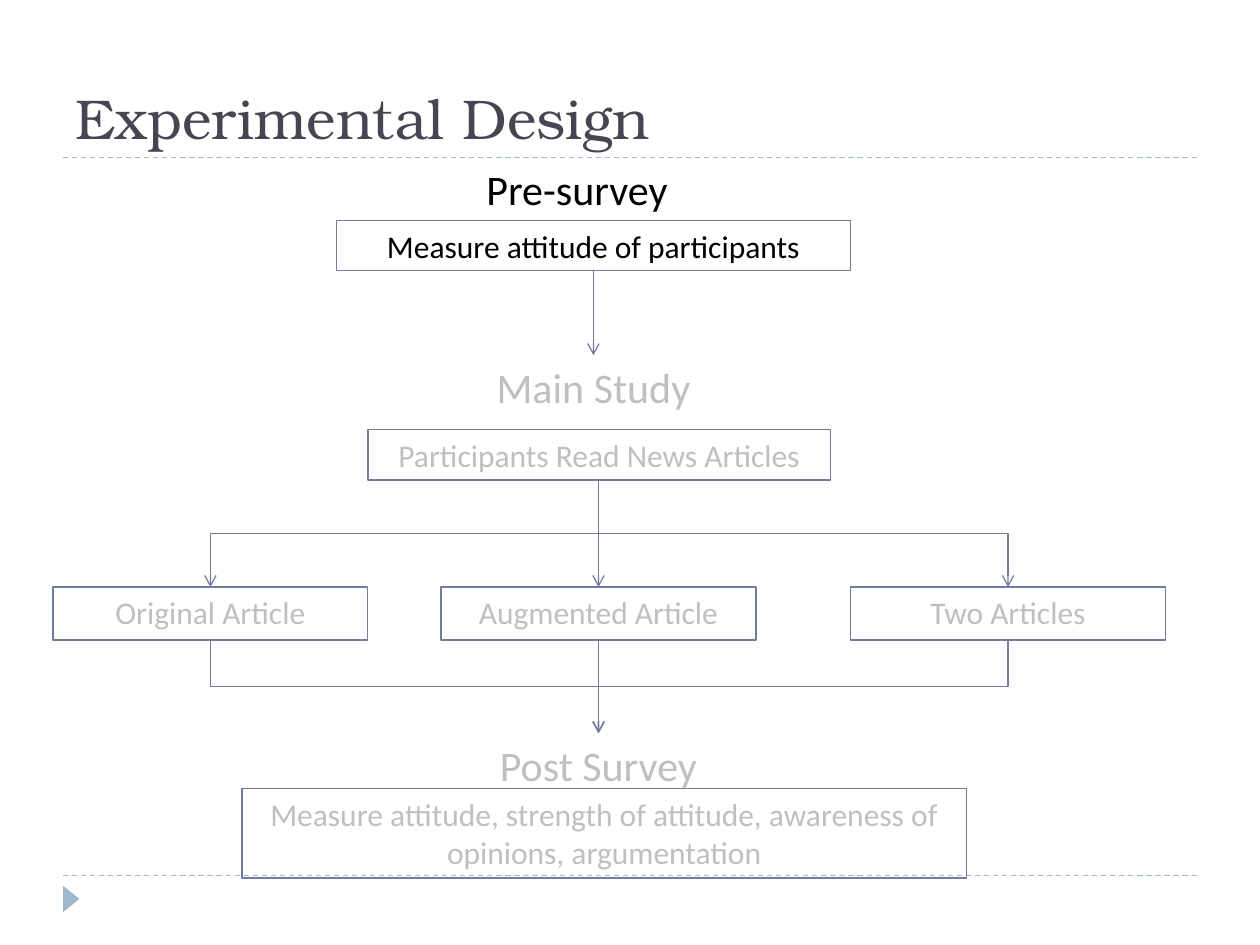
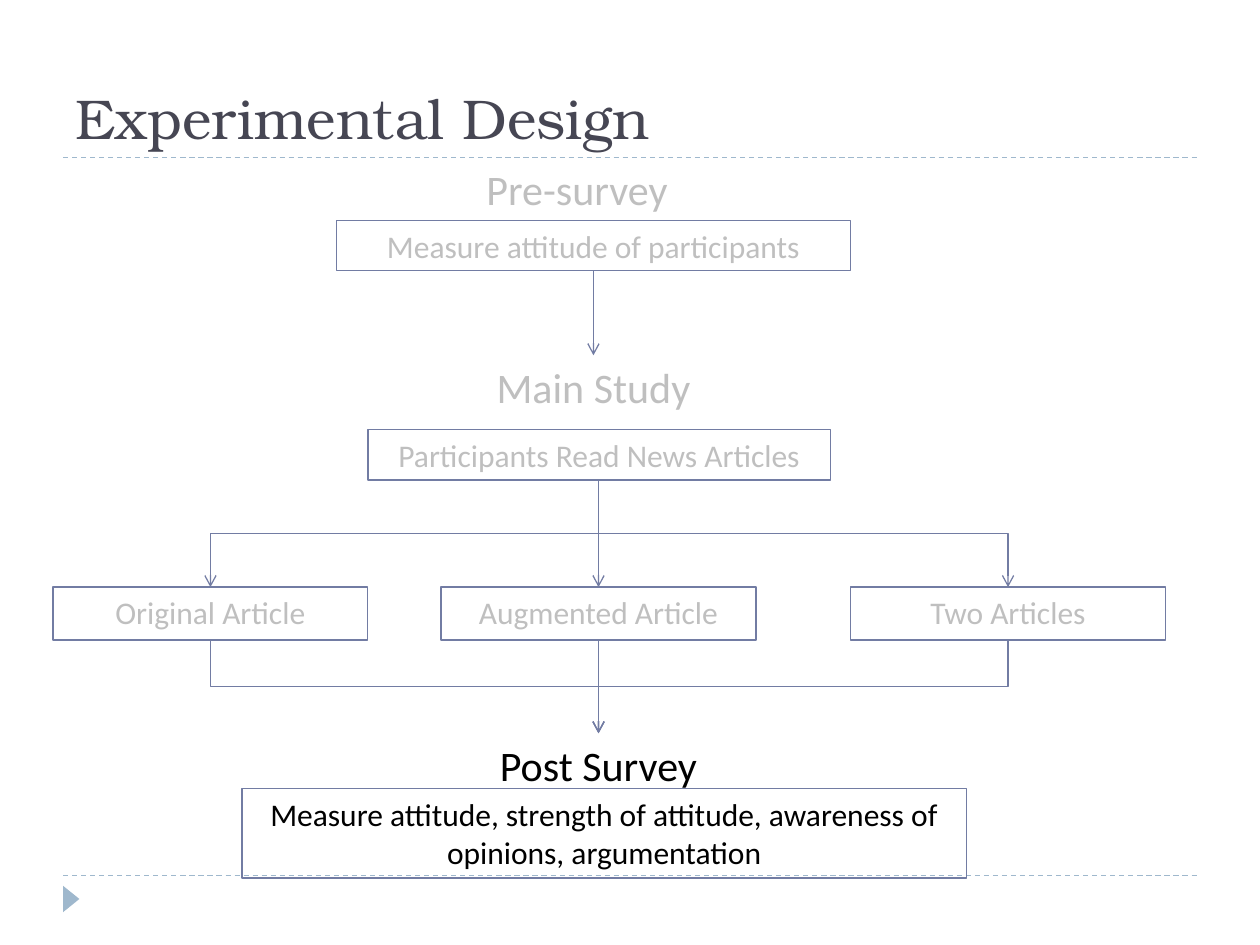
from lxml import etree
from pptx import Presentation
from pptx.dml.color import RGBColor
from pptx.enum import dml, shapes, text
from pptx.oxml.ns import qn
from pptx.util import Inches, Pt

TITLE = "Experimental Design"
COLOURS = {"title": "464653", "rule": "9FB8CD", "flow": "727CA3",
           "active": "000000", "muted": "BFBFBF"}
TITLE_FONT, BODY_FONT = "TeX Gyre Bonum", "Calibri"

# Stage highlighted on each slide
HIGHLIGHTS = ["pre", "post"]

# Stage, wording, (left, top, width, height)
HEADINGS = [
    ("pre", "Pre-survey", (2.83, 1.25, 3.5, 0.5)),
    ("main", "Main Study", (3.17, 2.82, 3.08, 0.5)),
    ("post", "Post Survey", (3.25, 5.82, 3, 0.5)),
]
ARTICLE_TOP, ARTICLE_WIDTH, ARTICLE_HEIGHT = 4.66, 2.5, 0.42
ARTICLES = [("Original Article", 0.42), ("Augmented Article", 3.5),
            ("Two Articles", 6.75)]
STEPS = [
    ("pre", "Measure attitude of participants", (2.67, 1.75, 4.08, 0.4)),
    ("main", "Participants Read News Articles", (2.92, 3.41, 3.67, 0.4)),
    ("post", "Measure attitude, strength of attitude, awareness of opinions, "
             "argumentation", (1.92, 6.26, 5.75, 0.71)),
] + [("main", wording, (left, ARTICLE_TOP, ARTICLE_WIDTH, ARTICLE_HEIGHT))
     for wording, left in ARTICLES]

# Flow points: the articles split from and rejoin the centre line
CENTRE, SPLIT_TOP, JOIN_BOTTOM = 4.75, 3.81, 5.82
SURVEY_ARROW = (4.71, 2.15, 4.71, 2.82)


def colour(key):
    return RGBColor.from_string(COLOURS[key])


def style_text(shape, wording, font, size, key, align, anchor):
    frame = shape.text_frame
    frame.text = wording
    frame.word_wrap = True
    frame.vertical_anchor = anchor
    paragraph = frame.paragraphs[0]
    paragraph.alignment = align
    paragraph.font.name = font
    paragraph.font.size = Pt(size)
    paragraph.font.color.rgb = colour(key)


def add_line(slide, kind, ends, key):
    line = slide.shapes.add_connector(kind, *map(Inches, ends))
    line.line.color.rgb = colour(key)
    line.line.width = Pt(0.75)
    etree.SubElement(line._element.spPr, qn("a:effectLst"))
    return line


def add_arrowhead(line):
    etree.SubElement(line.line._get_or_add_ln(), qn("a:tailEnd"), type="arrow")


def add_elbow(slide, x1, y1, x2, y2):
    """Bent arrow that leaves and arrives vertically: a turned elbow."""
    drop, shift = y2 - y1, abs(x2 - x1)
    left, top = (x1 + x2 - drop) / 2, (y1 + y2 - shift) / 2
    start, end = left, left + drop
    rightward = x2 > x1
    if rightward:
        start, end = end, start
    elbow = add_line(slide, shapes.MSO_CONNECTOR.ELBOW,
                     (start, top, end, top + shift), "flow")
    turn = 270 if rightward else 90
    elbow._element.spPr.find(qn("a:xfrm")).set("rot", str(turn * 60000))
    add_arrowhead(elbow)


def add_frame(slide):
    """Title, dashed rules and corner marker."""
    for y in (6.95, 1.25):
        rule = add_line(slide, shapes.MSO_CONNECTOR.STRAIGHT,
                        (0.5, y, 9.5, y), "rule")
        rule.line.dash_style = dml.MSO_LINE.DASH
    marker = slide.shapes.add_shape(
        shapes.MSO_SHAPE.ISOSCELES_TRIANGLE,
        *map(Inches, (0.46, 7.07, 0.21, 0.13)))
    marker.rotation = 90
    marker.shadow.inherit = False
    marker.fill.solid()
    marker.fill.fore_color.rgb = colour("rule")
    marker.line.fill.background()

    title = slide.shapes.title
    title.left, title.top, title.width, title.height = map(
        Inches, (0.5, 0.17, 9, 1.08))
    style_text(title, TITLE, TITLE_FONT, 32, "title",
               text.PP_ALIGN.LEFT, text.MSO_ANCHOR.BOTTOM)


def add_label(shape, wording, size, active):
    style_text(shape, wording, BODY_FONT, size, "active" if active else "muted",
               text.PP_ALIGN.CENTER, text.MSO_ANCHOR.TOP)
    shape.text_frame.auto_size = text.MSO_AUTO_SIZE.SHAPE_TO_FIT_TEXT


def add_flow(slide, highlight):
    # Stage headings
    for stage, wording, place in HEADINGS:
        heading = slide.shapes.add_textbox(*map(Inches, place))
        add_label(heading, wording, 24, stage == highlight)

    # Outlined steps
    for stage, wording, place in STEPS:
        step = slide.shapes.add_shape(shapes.MSO_SHAPE.RECTANGLE,
                                      *map(Inches, place))
        step.shadow.inherit = False
        step.fill.background()
        step.line.color.rgb = colour("flow")
        step.line.width = Pt(0.75)
        add_label(step, wording, 18, stage == highlight)

    # Arrows
    add_arrowhead(add_line(slide, shapes.MSO_CONNECTOR.STRAIGHT,
                           SURVEY_ARROW, "flow"))
    for _, left in ARTICLES:
        middle = left + ARTICLE_WIDTH / 2
        add_elbow(slide, CENTRE, SPLIT_TOP, middle, ARTICLE_TOP)
        add_elbow(slide, middle, ARTICLE_TOP + ARTICLE_HEIGHT,
                  CENTRE, JOIN_BOTTOM)


def main():
    deck = Presentation()
    deck.slide_width, deck.slide_height = Inches(10), Inches(7.5)
    title_only = deck.slide_layouts[5]
    for highlight in HIGHLIGHTS:
        slide = deck.slides.add_slide(title_only)
        add_frame(slide)
        add_flow(slide, highlight)
    deck.save("out.pptx")


if __name__ == "__main__":
    main()
